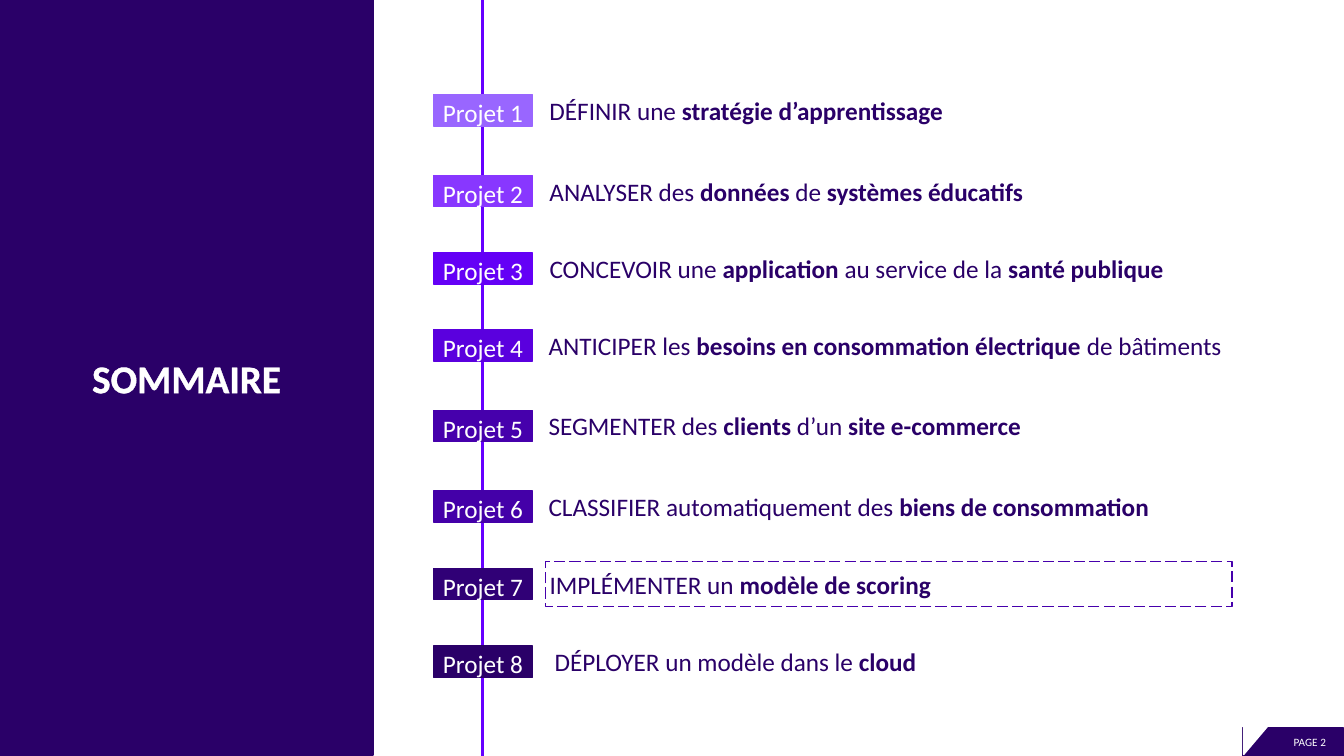
import pptx
import pptx.dml.color
import pptx.enum.dml
import pptx.enum.shapes
import pptx.enum.text
import pptx.oxml
import pptx.oxml.ns
import pptx.util

Inches = pptx.util.Inches
Pt = pptx.util.Pt
SHAPE = pptx.enum.shapes.MSO_SHAPE
ALIGN = pptx.enum.text.PP_ALIGN

COLORS = {
    "night": "2A0068",
    "violet": "6600FF",
    "indigo": "4600AC",
    "white": "FFFFFF",
}

# Tag top, tag colour, box left, box width, box line, text with **bold** parts
PROJECTS = [
    (0.94, "9966FF", 5.41, 4.46, "white", "DÉFINIR une **stratégie d’apprentissage**"),
    (1.74, "8837FF", 5.41, 5.16, None, "ANALYSER des **données** de **systèmes éducatifs**"),
    (2.51, "6400F6", 5.41, 6.69, None,
     "CONCEVOIR une **application** au service de la **santé publique**"),
    (3.27, "5A00DE", 5.4, 6.81, None,
     "ANTICIPER les **besoins en consommation électrique **de bâtiments"),
    (4.07, "4600AC", 5.4, 6.81, None, "SEGMENTER des **clients **d’un **site e-commerce**"),
    (4.87, "4400A8", 5.4, 6.81, None,
     "CLASSIFIER automatiquement des **biens de consommation**"),
    (5.64, "300076", 5.41, 6.81, "indigo", "IMPLÉMENTER un **modèle de scoring**"),
    (6.41, "2A0068", 5.46, 6.81, "white", "DÉPLOYER un modèle dans le **cloud**"),
]


def rgb(color):
    return pptx.dml.color.RGBColor.from_string(COLORS.get(color, color))


def set_colors(shape, fill, line=None):
    shape.fill.solid()
    shape.fill.fore_color.rgb = rgb(fill)
    if line:
        shape.line.color.rgb = rgb(line)
        shape.line.width = Pt(1)
    else:
        shape.line.fill.background()


def add_block(shapes, kind, box, fill, line=None):
    shape = shapes.add_shape(kind, *(Inches(length) for length in box))
    shape.shadow.inherit = False
    set_colors(shape, fill, line)
    return shape


def write_text(shape, text, size, color, align, margins=(0.1, 0.05, 0.1, 0.05), bold=False):
    """Write one paragraph; parts between ** are bold."""
    frame = shape.text_frame
    left, top, right, bottom = (Inches(margin) for margin in margins)
    frame_format = {
        "margin_left": left, "margin_top": top,
        "margin_right": right, "margin_bottom": bottom,
        "word_wrap": True,
        "auto_size": pptx.enum.text.MSO_AUTO_SIZE.NONE,
        "vertical_anchor": pptx.enum.text.MSO_ANCHOR.MIDDLE,
    }
    for name, value in frame_format.items():
        setattr(frame, name, value)
    paragraph = frame.paragraphs[0]
    paragraph.alignment = align
    for index, part in enumerate(text.split("**")):
        if not part:
            continue
        run = paragraph.add_run()
        run.text = part
        run_format = {"name": "Calibri", "size": Pt(size), "bold": bold or index % 2 == 1}
        for name, value in run_format.items():
            setattr(run.font, name, value)
        run.font.color.rgb = rgb(color)
    return paragraph


def add_title_panel(slide, left, top, width, height):
    title = slide.shapes.title
    title.left, title.top = Inches(left), Inches(top)
    title.width, title.height = Inches(width), Inches(height)
    set_colors(title, "night", "night")
    paragraph = write_text(title, "SOMMAIRE", 28, "white", ALIGN.CENTER, bold=True)
    paragraph.line_spacing = 1.0
    # White outline around the letters
    outline = pptx.oxml.parse_xml(
        f'<a:ln {pptx.oxml.ns.nsdecls("a")} w="{Pt(1.75)}"><a:solidFill>'
        f'<a:srgbClr val="{COLORS["white"]}"/></a:solidFill></a:ln>')
    paragraph.runs[0]._r.get_or_add_rPr().insert(0, outline)


def add_timeline(slide, left, top, height):
    line = slide.shapes.add_connector(
        pptx.enum.shapes.MSO_CONNECTOR.STRAIGHT,
        Inches(left), Inches(top), Inches(left), Inches(top + height))
    line.line.color.rgb = rgb("violet")
    line.line.width = Pt(2.25)
    line._element.spPr.append(
        pptx.oxml.parse_xml(f'<a:effectLst {pptx.oxml.ns.nsdecls("a")}/>'))


def add_project(slide, number, top, tag_color, left, width, line, text):
    # Numbered tag on the timeline
    tag = add_block(slide.shapes, SHAPE.RECTANGLE, (4.3, top, 0.98, 0.31),
                    tag_color, tag_color)
    write_text(tag, f"Projet {number}", 18, "white", ALIGN.CENTER, (0.04, 0.04, 0.04, 0))

    # Description, vertically centred on its tag
    description = add_block(slide.shapes, SHAPE.RECTANGLE, (left, top - 0.07, width, 0.45),
                            "white", line)
    if line == "indigo":
        description.line.dash_style = pptx.enum.dml.MSO_LINE.LONG_DASH
    write_text(description, text, 18, "night", ALIGN.LEFT, (0.04, 0, 0.04, 0))


def add_page_number(slide, left, top, width, height):
    group = slide.shapes.add_group_shape()
    add_block(group.shapes, SHAPE.RECTANGLE, (left, top, width, height), "night", "night")
    label = group.shapes.add_textbox(
        Inches(left + 0.07), Inches(top + 0.04), Inches(width - 0.14), Inches(0.2))
    write_text(label, "PAGE 2", 8, "white", ALIGN.RIGHT)
    corner = add_block(group.shapes, SHAPE.RIGHT_TRIANGLE,
                       (left - 0.02, top - 0.04, 0.33, 0.28), "white", "white")
    corner.rotation = 90


def main():
    presentation = pptx.Presentation()
    presentation.slide_width = Inches(13.33)
    presentation.slide_height = Inches(7.5)
    slide = presentation.slides.add_slide(presentation.slide_layouts[5])

    add_page_number(slide, 12.33, 7.22, 0.99, 0.28)
    add_title_panel(slide, 0, 0, 3.7, 7.49)
    add_timeline(slide, 4.79, 0, 7.52)
    for number, project in enumerate(PROJECTS, start=1):
        add_project(slide, number, *project)

    presentation.save("out.pptx")


if __name__ == "__main__":
    main()
